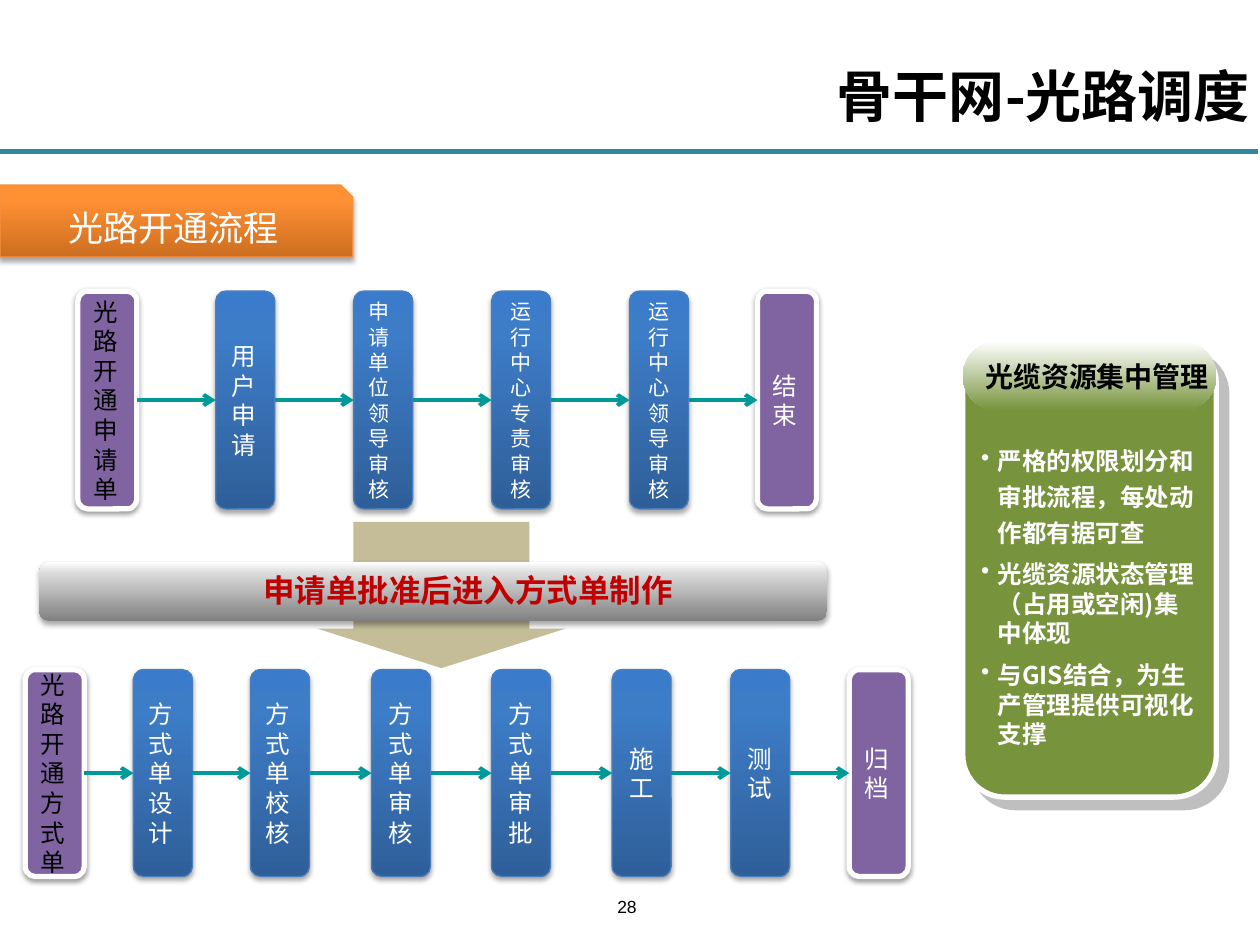
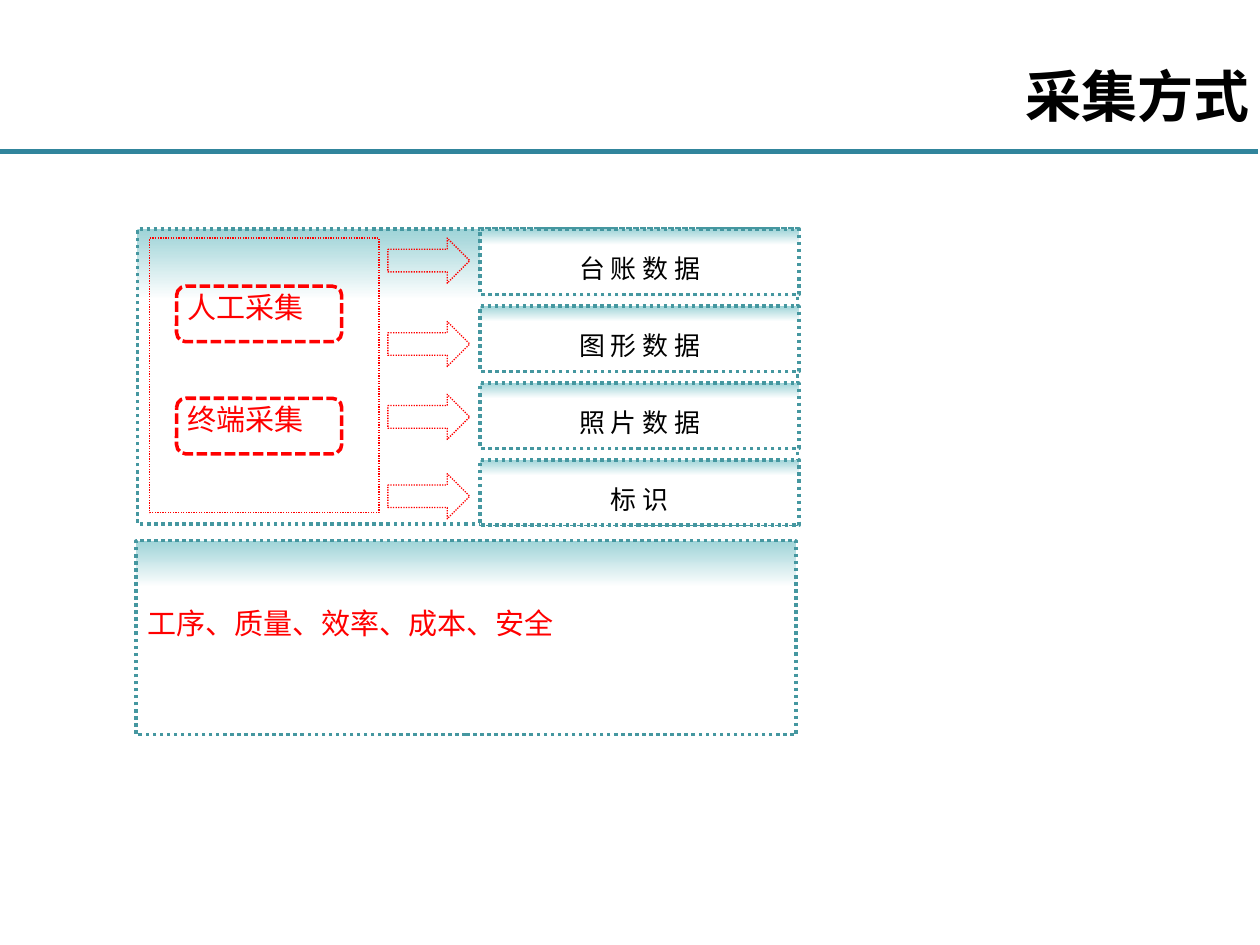
"""Build two slides on optical route scheduling and data collection."""
from dataclasses import dataclass
from typing import NamedTuple, Optional

from lxml import etree
from pptx import Presentation
from pptx.dml.color import RGBColor
from pptx.enum.dml import MSO_LINE
from pptx.enum.shapes import MSO_CONNECTOR, MSO_SHAPE
from pptx.enum.text import MSO_ANCHOR, PP_ALIGN
from pptx.oxml.ns import qn
from pptx.util import Cm, Pt

LEFT, CENTER, RIGHT = PP_ALIGN.LEFT, PP_ALIGN.CENTER, PP_ALIGN.RIGHT
TOP, MIDDLE, BOTTOM = MSO_ANCHOR.TOP, MSO_ANCHOR.MIDDLE, MSO_ANCHOR.BOTTOM
RECTANGLE, ROUNDED = MSO_SHAPE.RECTANGLE, MSO_SHAPE.ROUNDED_RECTANGLE
SNIPPED = MSO_SHAPE.SNIP_1_RECTANGLE
DOWN_ARROW, RIGHT_ARROW = MSO_SHAPE.DOWN_ARROW, MSO_SHAPE.RIGHT_ARROW
STRAIGHT = MSO_CONNECTOR.STRAIGHT
DOTS, DASHES = MSO_LINE.ROUND_DOT, MSO_LINE.SQUARE_DOT

SONG = "Noto Sans CJK SC"
BLACK, WHITE, RED, DARK_RED = "000000", "FFFFFF", "FF0000", "C00000"
PURPLE, GREEN, SAND, TEAL, RULE = "8064A2", "77933C", "C4BD97", "009999", "31859C"
LINE_FACTOR = 1.21


class Area(NamedTuple):
    """A rectangle in centimetres."""
    left: float
    top: float
    width: float
    height: float


class Shadow(NamedTuple):
    """An outer shadow; opacity in percent, lengths in points."""
    color: str
    opacity: int
    blur: float
    distance: float
    angle: int


class Insets(NamedTuple):
    """Text margins in centimetres."""
    left: float = 0.25
    top: float = 0.13
    right: float = 0.25
    bottom: float = 0.13


@dataclass(frozen=True)
class Look:
    """Fill, outline and shadow of a shape."""
    fill: Optional[str] = None
    stops: tuple = ()
    angle: int = 90
    line: Optional[str] = None
    width: float = 0.75
    dash: Optional[MSO_LINE] = None
    shadow: Optional[Shadow] = None


@dataclass(frozen=True)
class Type:
    """Character and paragraph style of a text."""
    size: float
    color: str
    bold: bool = False
    align: PP_ALIGN = LEFT
    anchor: MSO_ANCHOR = MIDDLE
    insets: Insets = Insets()
    font: str = SONG
    wrap: bool = True


class Step(NamedTuple):
    """One box of a process row."""
    text: str
    left: float
    look: Look
    color: str = WHITE
    size: float = 14
    align: PP_ALIGN = LEFT


SOFT = Shadow(BLACK, 35, 3.1, 1.8, 90)
END = Look(PURPLE, line=WHITE, width=3, shadow=Shadow(BLACK, 38, 3.1, 1.6, 90))
TASK = Look(stops=((0, "2F5F99"), (80, "3D7CC7"), (100, "3A7CCB")),
            line="4B7EBC", shadow=SOFT)
TAG = Look(stops=((0, "CC6E20"), (80, "FF9034"), (100, "FF9136")),
           line="F69240", shadow=SOFT)
BANNER = Look(stops=((0, "808080"), (80, "D9D9D9"), (100, WHITE)), shadow=SOFT)
CARD = Look(GREEN, line=WHITE, width=3, shadow=Shadow("808080", 50, 0, 8.5, 45))
CARD_HEAD = Look(stops=((0, WHITE), (100, GREEN)), angle=270)
PANEL = Look(stops=((0, "9ED3D7"), (24, WHITE), (100, WHITE)), angle=270,
             line="4597A0", width=2, dash=DOTS)
RED_DOTS = Look(line=RED, dash=DOTS)
RED_DASHES = Look(line=RED, width=2, dash=DASHES)

REQUEST_STEPS = (
    Step("光路开通申请单", 1.57, END, BLACK),
    Step("用户申请", 4.35, TASK),
    Step("申请单位领导审核", 7.13, TASK, size=12),
    Step("运行中心专责审核", 9.91, TASK, size=12, align=CENTER),
    Step("运行中心领导审核", 12.69, TASK, size=12, align=CENTER),
    Step("结束", 15.27, END),
)
ORDER_STEPS = (
    Step("光路开通方式单", 0.51, END, BLACK),
    Step("方式单设计", 2.69, TASK),
    Step("方式单校核", 5.05, TASK),
    Step("方式单审核", 7.49, TASK, align=CENTER),
    Step("方式单审批", 9.91, TASK, align=CENTER),
    Step("施工", 12.34, TASK, align=CENTER),
    Step("测试", 14.73, TASK, align=CENTER),
    Step("归档", 17.12, END),
)
CARD_POINTS = (
    "严格的权限划分和审批流程，每处动作都有据可查",
    "光缆资源状态管理（占用或空闲)集中体现",
    "与GIS结合，为生产管理提供可视化支撑",
)


def rgb(color: str) -> RGBColor:
    """Turn a hex string into a colour."""
    return RGBColor.from_string(color)


def add_color(parent, color: str):
    """Append a hex colour element."""
    return etree.SubElement(parent, qn("a:srgbClr"), val=color)


def fill_shape(shape, look: Look) -> None:
    """Give a shape a gradient, a plain fill or none."""
    if look.stops:
        shape.fill.gradient()
        shape.fill.gradient_angle = look.angle
        stop_list = shape._element.spPr.find(".//" + qn("a:gsLst"))
        for stop in list(stop_list):
            stop_list.remove(stop)
        for position, color in look.stops:
            stop = etree.SubElement(stop_list, qn("a:gs"), pos=str(position * 1000))
            add_color(stop, color)
    elif look.fill:
        shape.fill.solid()
        shape.fill.fore_color.rgb = rgb(look.fill)
    else:
        shape.fill.background()


def cast_shadow(shape, shadow: Optional[Shadow]) -> None:
    """Replace the theme shadow by the given one."""
    shape.shadow.inherit = False
    if shadow:
        effects = shape._element.spPr.find(qn("a:effectLst"))
        outer = etree.SubElement(
            effects, qn("a:outerShdw"), blurRad=str(int(Pt(shadow.blur))),
            dist=str(int(Pt(shadow.distance))), dir=str(shadow.angle * 60000),
            algn="ctr", rotWithShape="0")
        color = add_color(outer, shadow.color)
        etree.SubElement(color, qn("a:alpha"), val=str(shadow.opacity * 1000))


def draw_shape(page, kind: MSO_SHAPE, area: Area, look: Look, adjustments: tuple = ()):
    """Add a preset shape."""
    shape = page.shapes.add_shape(kind, *map(Cm, area))
    for index, value in enumerate(adjustments):
        shape.adjustments[index] = value
    fill_shape(shape, look)
    if look.line:
        shape.line.color.rgb = rgb(look.line)
        shape.line.width = Pt(look.width)
        if look.dash:
            shape.line.dash_style = look.dash
    else:
        shape.line.fill.background()
    cast_shadow(shape, look.shadow)
    return shape


def style_paragraph(para, text: str, style: Type, factor: float = LINE_FACTOR) -> None:
    """Fill a paragraph and set its style."""
    para.add_run().text = text
    para.alignment = style.align
    para.line_spacing = Pt(round(style.size * factor, 1))
    font = para.font
    font.size, font.bold, font.name = Pt(style.size), style.bold, style.font
    font.color.rgb = rgb(style.color)
    etree.SubElement(font._element, qn("a:ea"), typeface=style.font)


def prepare_frame(box, style: Type):
    """Set wrapping, anchor and margins of a text frame."""
    frame = box.text_frame
    frame.word_wrap = style.wrap
    frame.vertical_anchor = style.anchor
    frame.margin_left, frame.margin_top, frame.margin_right, frame.margin_bottom = map(
        Cm, style.insets)
    return frame


def write(box, text: str, style: Type) -> None:
    """Write one paragraph into a box."""
    style_paragraph(prepare_frame(box, style).paragraphs[0], text, style)


def add_text(page, area: Area, text: str, style: Type) -> None:
    """Add a text box with one paragraph."""
    write(page.shapes.add_textbox(*map(Cm, area)), text, style)


def write_bullets(box, points: tuple, style: Type) -> None:
    """Write a bulleted list whose first point is set wider."""
    frame = prepare_frame(box, style)
    for index, point in enumerate(points):
        para = frame.add_paragraph() if index else frame.paragraphs[0]
        properties = para._p.get_or_add_pPr()
        properties.set("marL", str(int(Cm(0.33))))
        properties.set("indent", str(int(Cm(-0.33))))
        etree.SubElement(properties, qn("a:buChar"), char="•")
        style_paragraph(para, point, style, LINE_FACTOR if index else 1.46)
        if index:
            para.space_before = Pt(7)


def draw_line(page, start: tuple, end: tuple, color: str, width: float):
    """Add a straight line without a shadow."""
    line = page.shapes.add_connector(STRAIGHT, *map(Cm, start + end))
    line.line.color.rgb = rgb(color)
    line.line.width = Pt(width)
    etree.SubElement(line._element.spPr, qn("a:effectLst"))
    return line


def join(page, source, target) -> None:
    """Draw an arrow from the right of one box to the left of another."""
    arrow = draw_line(page, (0, 0), (1, 0), TEAL, 2.25)
    arrow.begin_connect(source, 3)
    arrow.end_connect(target, 1)
    etree.SubElement(arrow.line._get_or_add_ln(), qn("a:tailEnd"), type="arrow")


def draw_process(page, steps: tuple, top: float, height: float) -> None:
    """Draw a row of boxes joined by arrows."""
    boxes = []
    for step in steps:
        box = draw_shape(page, ROUNDED, Area(step.left, top, 1.19, height), step.look)
        write(box, step.text, Type(step.size, step.color, align=step.align))
        boxes.append(box)
    for source, target in zip(boxes, boxes[1:]):
        join(page, source, target)


def add_page(deck, title: str):
    """Add a blank page with the title and the rule below it."""
    page = deck.slides.add_slide(deck.slide_layouts[6])
    draw_line(page, (0, 3.05), (25.35, 3.05), RULE, 3)
    add_text(page, Area(6, 0.15, 19.45, 3.53), title, Type(32, BLACK, True, RIGHT))
    return page


def build_route_page(deck) -> None:
    """Draw the route opening process."""
    page = add_page(deck, "骨干网-光路调度")
    add_text(page, Area(10.29, 17.86, 4.7, 0.76), "28",
             Type(10, BLACK, align=CENTER, anchor=BOTTOM, font="Arial"))
    tag = draw_shape(page, SNIPPED, Area(0, 3.73, 7.11, 1.45), TAG)
    write(tag, "光路开通流程", Type(20, WHITE, align=CENTER, insets=Insets(top=0.25)))
    draw_process(page, REQUEST_STEPS, 5.87, 4.39)
    draw_process(page, ORDER_STEPS, 13.5, 4.17)
    draw_shape(page, DOWN_ARROW, Area(6.4, 10.52, 5, 2.95), Look(SAND), (0.71, 0.27))
    draw_shape(page, ROUNDED, Area(0.79, 11.33, 15.88, 1.19), BANNER)
    add_text(page, Area(4.57, 11.38, 9.73, 1.02), "申请单批准后进入方式单制作",
             Type(18, DARK_RED, True, CENTER, TOP))
    draw_shape(page, ROUNDED, Area(19.41, 6.88, 5.11, 9.19), CARD)
    head = draw_shape(page, ROUNDED, Area(19.41, 6.88, 5.11, 1.4), CARD_HEAD, (0.5,))
    write(head, "光缆资源集中管理", Type(16, BLACK, True, wrap=False))
    points = page.shapes.add_textbox(*map(Cm, Area(19.53, 8.74, 4.88, 6.6)))
    write_bullets(points, CARD_POINTS, Type(14, WHITE, True, anchor=TOP))


def build_collection_page(deck) -> None:
    """Draw the collection methods and the data they yield."""
    page = add_page(deck, "采集方式")
    draw_shape(page, RECTANGLE, Area(2.77, 4.62, 13.31, 5.94), PANEL)
    label = Type(14.8, BLACK, align=CENTER, insets=Insets(top=0.25, bottom=0))
    for row, text in enumerate(("台 账 数 据", "图 形 数 据", "照 片 数 据", "标 识")):
        box = draw_shape(page, RECTANGLE, Area(9.68, 4.62 + 1.55 * row, 6.43, 1.32), PANEL)
        write(box, text, label)
    goals = draw_shape(page, RECTANGLE, Area(2.74, 10.9, 13.31, 3.91), PANEL)
    write(goals, "工序、质量、效率、成本、安全",
          Type(16.6, RED, anchor=TOP, insets=Insets(left=0.23, top=1.29)))
    method = Type(16.6, RED, anchor=TOP, insets=Insets(0.17, 0, 0, 0))
    for top, text in ((5.77, "人工采集"), (8.03, "终端采集")):
        box = draw_shape(page, ROUNDED, Area(3.56, top, 3.33, 1.12), RED_DASHES)
        write(box, text, method)
    draw_shape(page, RECTANGLE, Area(3.02, 4.8, 4.62, 5.54), RED_DOTS)
    for top in (4.8, 6.48, 7.95, 9.55):
        draw_shape(page, RIGHT_ARROW, Area(7.82, top, 1.65, 0.91), RED_DOTS)


def main() -> None:
    """Build and save the deck."""
    deck = Presentation()
    deck.slide_width, deck.slide_height = Cm(25.4), Cm(19.05)
    build_route_page(deck)
    build_collection_page(deck)
    deck.save("out.pptx")


if __name__ == "__main__":
    main()
